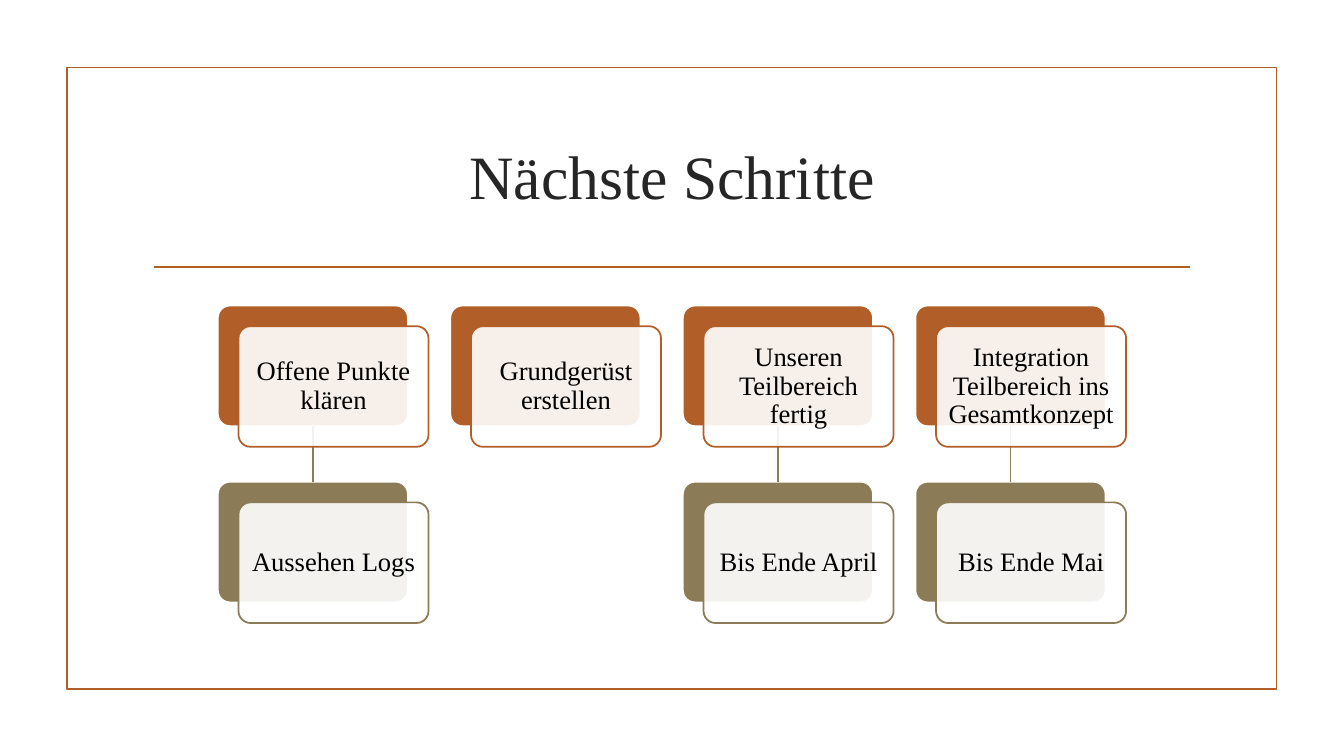
"""Build the slide with the next steps and their details."""
import lxml.etree
import pptx
import pptx.dml.color
import pptx.enum.shapes
import pptx.enum.text
import pptx.oxml.ns
import pptx.util

Cm = pptx.util.Cm
FONT = "Times New Roman"
RUST = "B15E28"
OLIVE = "8B7B56"
WHITE = "FFFFFF"
STEPS = [
    ("Offene Punkte klären", "Aussehen Logs"),
    ("Grundgerüst erstellen", None),
    ("Unseren Teilbereich fertig", "Bis Ende April"),
    ("Integration Teilbereich ins Gesamtkonzept", "Bis Ende Mai"),
]
CARD_LEFT, CARD_TOP = 5.49, 7.7
CARD_WIDTH, CARD_HEIGHT = 4.79, 3.04
COLUMN_PITCH, ROW_PITCH = 5.86, 4.44
PLATE_OFFSET = 0.52


def color(hex_string):
    """Return the colour for a hex string."""
    return pptx.dml.color.RGBColor.from_string(hex_string)


def format_line(line, line_color):
    """Give a line its colour and the common width."""
    line.color.rgb = color(line_color)
    line.width = pptx.util.Pt(1.25)


def format_text(text_frame, size, text_color):
    """Centre the text of a frame and set its font."""
    text_frame.word_wrap = True
    text_frame.vertical_anchor = pptx.enum.text.MSO_ANCHOR.MIDDLE
    for paragraph in text_frame.paragraphs:
        paragraph.alignment = pptx.enum.text.PP_ALIGN.CENTER
        paragraph.line_spacing = 0.9
        for run in paragraph.runs:
            run.font.name = FONT
            run.font.size = pptx.util.Pt(size)
            run.font.color.rgb = color(text_color)


def add_title(slide, text):
    """Fill and place the title placeholder."""
    title = slide.shapes.title
    title.left, title.top = Cm(3.61), Cm(2.72)
    title.width, title.height = Cm(26.67), Cm(3.63)
    title.text_frame.text = text
    format_text(title.text_frame, 44, "262626")


def add_frame(slide):
    """Draw the border around the content."""
    frame = slide.shapes.add_shape(
        pptx.enum.shapes.MSO_SHAPE.RECTANGLE, Cm(1.69), Cm(1.7), Cm(30.48), Cm(15.67))
    frame.shadow.inherit = False
    frame.fill.background()
    format_line(frame.line, RUST)


def add_line(slide, line_color, start=(0, 0), end=(0, 0)):
    """Draw a straight line without a shadow."""
    line = slide.shapes.add_connector(
        pptx.enum.shapes.MSO_CONNECTOR.STRAIGHT, *map(Cm, start + end))
    format_line(line.line, line_color)
    lxml.etree.SubElement(line._element.spPr, pptx.oxml.ns.qn("a:effectLst"))
    return line


def add_rounded_box(slide, left, top, fill_color, line_color):
    """Draw one rounded box of the card size."""
    box = slide.shapes.add_shape(
        pptx.enum.shapes.MSO_SHAPE.ROUNDED_RECTANGLE,
        Cm(left), Cm(top), Cm(CARD_WIDTH), Cm(CARD_HEIGHT))
    box.adjustments[0] = 0.1
    box.shadow.inherit = False
    box.fill.solid()
    box.fill.fore_color.rgb = color(fill_color)
    format_line(box.line, line_color)
    return box


def add_plate(slide, left, top, text, line_color):
    """Draw the translucent labelled plate of a card."""
    plate = add_rounded_box(slide, left, top, WHITE, line_color)
    fill = plate._element.spPr.find(pptx.oxml.ns.qn("a:solidFill"))
    lxml.etree.SubElement(fill[0], pptx.oxml.ns.qn("a:alpha"), val="90000")
    text_frame = plate.text_frame
    text_frame.margin_left = text_frame.margin_right = Cm(0.2)
    text_frame.margin_top = text_frame.margin_bottom = Cm(0.2)
    text_frame.text = text
    format_text(text_frame, 19, "000000")


def add_step(slide, column, texts):
    """Draw a column of cards and the link between them."""
    left = CARD_LEFT + column * COLUMN_PITCH
    cards = [(text, CARD_TOP + row * ROW_PITCH, card_color)
             for row, (text, card_color) in enumerate(zip(texts, (RUST, OLIVE))) if text]
    boxes = [add_rounded_box(slide, left, top, card_color, WHITE)
             for _, top, card_color in cards]
    for upper, lower in zip(boxes, boxes[1:]):
        link = add_line(slide, OLIVE)
        link.begin_connect(upper, 2)
        link.end_connect(lower, 0)
    for text, top, card_color in cards:
        add_plate(slide, left + PLATE_OFFSET, top + PLATE_OFFSET, text, card_color)


def main():
    """Create the presentation and save it."""
    presentation = pptx.Presentation()
    presentation.slide_width, presentation.slide_height = Cm(33.87), Cm(19.05)
    slide = presentation.slides.add_slide(presentation.slide_layouts.get_by_name("Title Only"))
    add_frame(slide)
    add_line(slide, RUST, (3.89, 6.73), (30, 6.73))
    add_title(slide, "Nächste Schritte")
    for column, texts in enumerate(STEPS):
        add_step(slide, column, texts)
    presentation.save("out.pptx")


if __name__ == "__main__":
    main()
